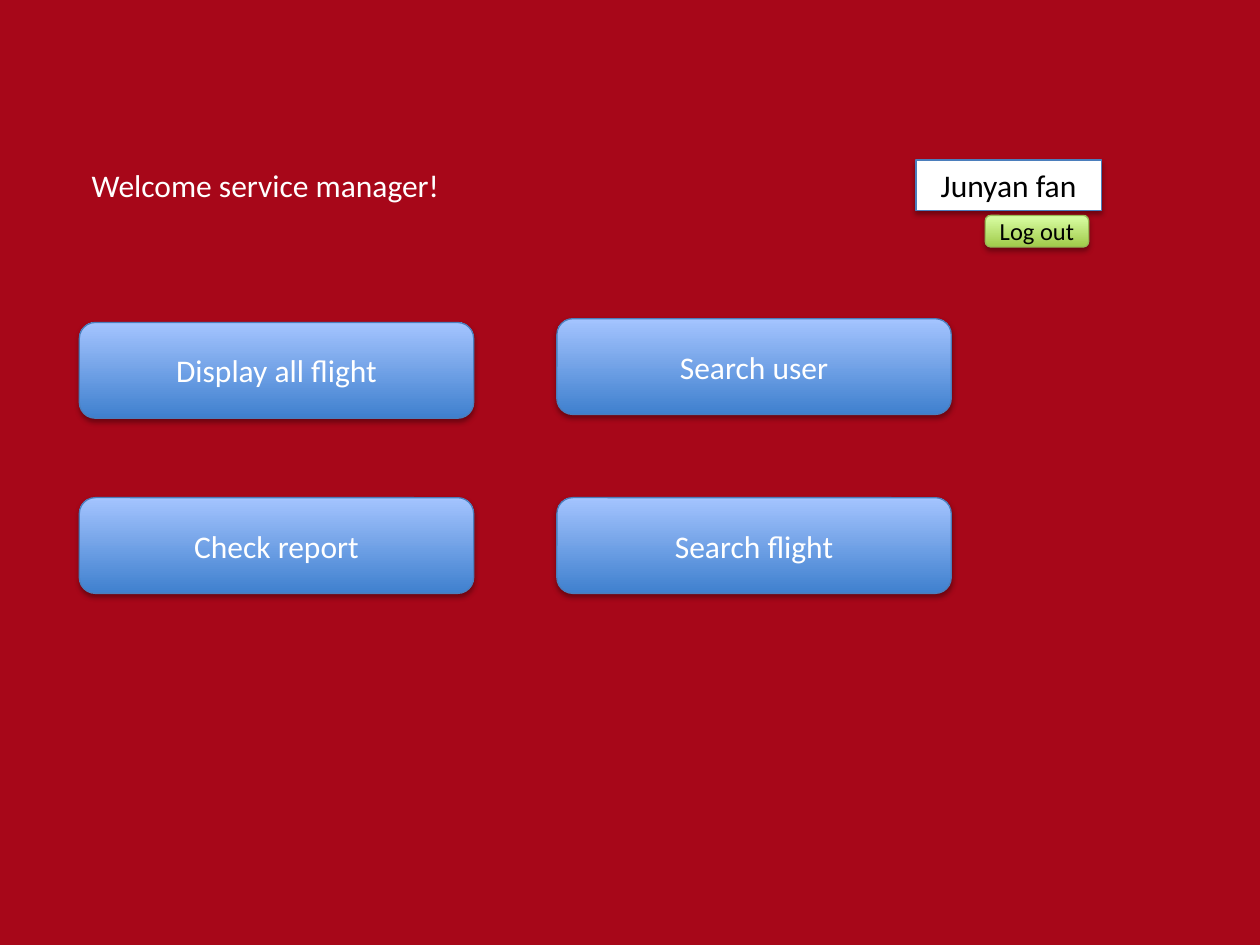
from lxml.etree import SubElement
from pptx import Presentation
from pptx.dml.color import RGBColor
from pptx.enum.shapes import MSO_SHAPE as Shape
from pptx.enum.text import MSO_ANCHOR as Anchor, MSO_AUTO_SIZE as AutoSize, PP_ALIGN as Align
from pptx.oxml.ns import qn
from pptx.util import Inches, Pt

RED = RGBColor(0xA7, 0x07, 0x19)
WHITE = RGBColor(0xFF, 0xFF, 0xFF)
BLACK = RGBColor(0x00, 0x00, 0x00)
BLUE_EDGE = RGBColor(0x4B, 0x7E, 0xBC)
GREEN_EDGE = RGBColor(0x98, 0xB9, 0x55)
BLUE_SHADES = RGBColor(0x3F, 0x80, 0xCE), RGBColor(0xA4, 0xC4, 0xFF)
GREEN_SHADES = RGBColor(0xA0, 0xCA, 0x4A), RGBColor(0xDA, 0xFF, 0xA5)

LEFT, HEADER_TOP, HEADER_HEIGHT = 0.63, 1.27, 0.4
BUTTON_WIDTH, BUTTON_HEIGHT = 3.13, 0.76
RIGHT_COLUMN, LOWER_ROW = 4.42, 3.95


class Screen:
    font_name = "Calibri"

    def __init__(self, slide):
        self.slide = slide
        slide.background.fill.solid()
        slide.background.fill.fore_color.rgb = RED

    def add_wording(self, frame, wording, size, color):
        paragraph = frame.paragraphs[0]
        run = paragraph.add_run()
        run.text = wording
        run.font.color.rgb = color
        for name, value in {"name": self.font_name, "size": Pt(size)}.items():
            setattr(run.font, name, value)
        return paragraph

    def label(self, wording, *box):
        frame = self.slide.shapes.add_textbox(*map(Inches, box)).text_frame
        frame.word_wrap = True
        frame.auto_size = AutoSize.SHAPE_TO_FIT_TEXT
        self.add_wording(frame, wording, 18, WHITE)

    def drop_shadow(self, panel):
        panel.shadow.inherit = False
        effects = panel._element.spPr.find(qn("a:effectLst"))
        shadow = SubElement(effects, qn("a:outerShdw"), blurRad=str(Pt(3.1)),
                            dist=str(Pt(1.8)), dir="5400000", rotWithShape="0")
        shade = SubElement(shadow, qn("a:srgbClr"), val=str(BLACK))
        SubElement(shade, qn("a:alpha"), val="35000")

    def panel(self, wording, *box, kind=Shape.ROUNDED_RECTANGLE, shades=BLUE_SHADES,
              edge=BLUE_EDGE, size=18, color=WHITE):
        """Add a shadowed shape; shades run from bottom to top, one shade is solid."""
        panel = self.slide.shapes.add_shape(kind, *map(Inches, box))
        if len(shades) == 1:
            panel.fill.solid()
            panel.fill.fore_color.rgb = shades[0]
        else:
            panel.fill.gradient()
            panel.fill.gradient_angle = 90
            for stop, shade in zip(panel.fill.gradient_stops, shades):
                stop.color.rgb = shade
        panel.line.color.rgb = edge
        panel.line.width = Pt(0.75)
        self.drop_shadow(panel)
        panel.text_frame.vertical_anchor = Anchor.MIDDLE
        self.add_wording(panel.text_frame, wording, size, color).alignment = Align.CENTER


def main():
    deck = Presentation()
    deck.slide_width, deck.slide_height = Inches(10), Inches(7.5)
    screen = Screen(deck.slides.add_slide(deck.slide_layouts[6]))

    screen.label("Welcome service manager!", LEFT, HEADER_TOP, BUTTON_WIDTH, HEADER_HEIGHT)
    for action, left, top in (
        ("Display all flight", LEFT, 2.56),
        ("Search flight", RIGHT_COLUMN, LOWER_ROW),
        ("Check report", LEFT, LOWER_ROW),
        ("Search user", RIGHT_COLUMN, 2.53),
    ):
        screen.panel(action, left, top, BUTTON_WIDTH, BUTTON_HEIGHT)
    screen.panel("Junyan fan", 7.27, HEADER_TOP, 1.47, HEADER_HEIGHT,
                 kind=Shape.RECTANGLE, shades=(WHITE,), color=BLACK)
    screen.panel("Log out", 7.82, 1.71, 0.82, 0.25,
                 shades=GREEN_SHADES, edge=GREEN_EDGE, size=14, color=BLACK)

    deck.save("out.pptx")


if __name__ == "__main__":
    main()
